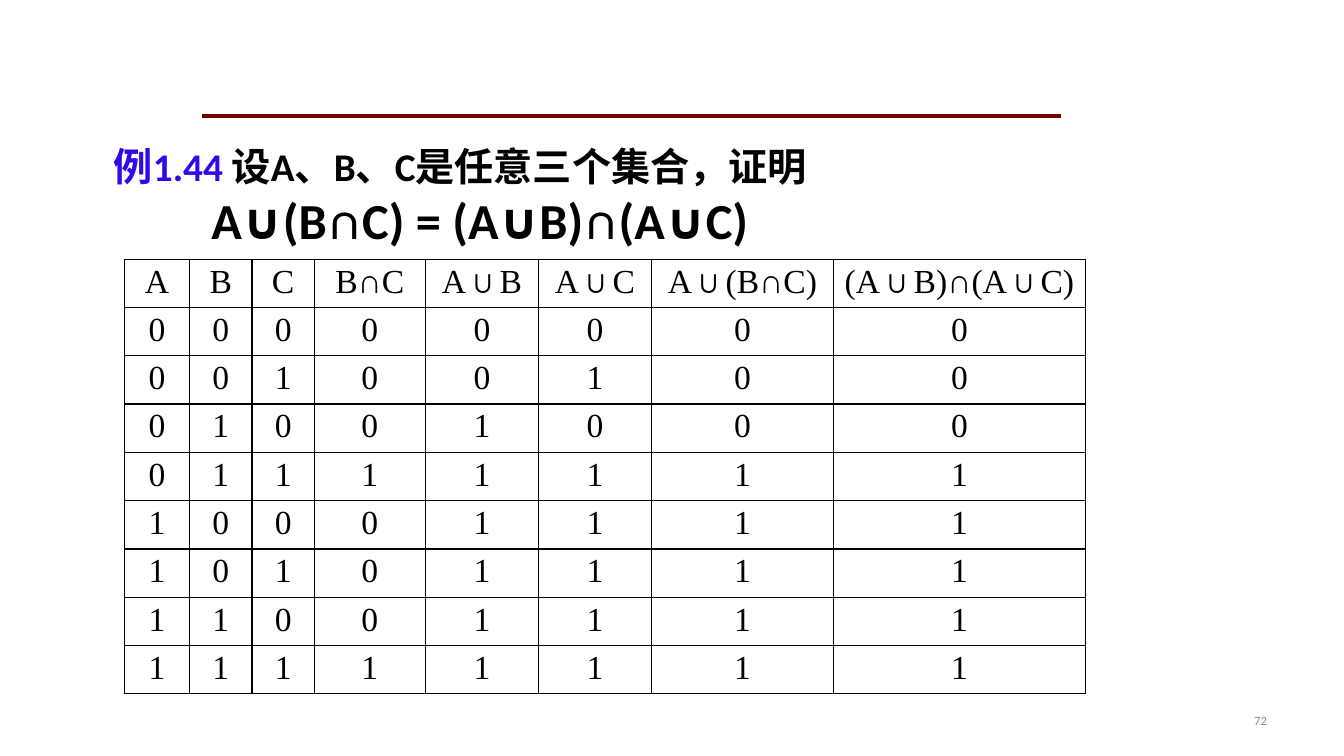
from dataclasses import dataclass
from itertools import product

from lxml.etree import SubElement
from pptx import Presentation
from pptx.dml.color import RGBColor as Rgb
from pptx.enum.shapes import MSO_CONNECTOR as Connector
from pptx.enum.text import MSO_ANCHOR as Anchor, PP_ALIGN as Align
from pptx.oxml.ns import qn
from pptx.util import Cm, Pt

EXAMPLE_LABEL = "例1.44 "
EXAMPLE_TEXT = "设A、B、C是任意三个集合，证明"
IDENTITY = "A∪(B∩C) = (A∪B)∩(A∪C)"
PAGE_NUMBER = "72"

# Column heading, width in cm, membership value for a, b, c
COLUMNS = [
    ("A", 1.65, lambda a, b, c: a),
    ("B", 1.57, lambda a, b, c: b),
    ("C", 1.57, lambda a, b, c: c),
    ("B∩C", 2.8, lambda a, b, c: b & c),
    ("A∪B", 2.85, lambda a, b, c: a | b),
    ("A∪C", 2.85, lambda a, b, c: a | c),
    ("A∪(B∩C)", 4.58, lambda a, b, c: a | (b & c)),
    ("(A∪B)∩(A∪C)", 6.36, lambda a, b, c: (a | b) & (a | c)),
]
ROW_HEIGHT = 1.19


@dataclass(frozen=True)
class Theme:
    ink: Rgb = Rgb(0, 0, 0)
    label: Rgb = Rgb(0x33, 0x08, 0xE8)
    rule: Rgb = Rgb(0x74, 0, 0)
    muted: Rgb = Rgb(0x8C, 0x8C, 0x8C)
    body_font: str = "Calibri"
    table_font: str = "Times New Roman"
    statement_size: int = 28
    identity_size: int = 36
    table_size: int = 24
    page_size: int = 9
    rule_width: float = 2.5
    border_width: float = 1


THEME = Theme()


def style(font, name, size, color, bold=False):
    font.name, font.size, font.bold = name, Pt(size), bold
    font.color.rgb = color


def add_rule(slide):
    rule = slide.shapes.add_connector(
        Connector.STRAIGHT, Cm(5.08), Cm(2.92), Cm(26.75), Cm(2.92))
    rule.line.color.rgb = THEME.rule
    rule.line.width = Pt(THEME.rule_width)
    SubElement(rule._element.spPr, qn("a:effectLst"))


def add_page_number(slide):
    frame = slide.shapes.add_textbox(Cm(24.28), Cm(17.65), Cm(7.9), Cm(1.02)).text_frame
    frame.word_wrap = True
    frame.vertical_anchor = Anchor.MIDDLE
    frame.text = PAGE_NUMBER
    number = frame.paragraphs[0]
    number.alignment = Align.RIGHT
    style(number.runs[0].font, THEME.body_font, THEME.page_size, THEME.muted)


def add_statement(slide):
    frame = slide.shapes.add_textbox(Cm(2.74), Cm(3.12), Cm(23.19), Cm(3.18)).text_frame
    frame.word_wrap = True
    frame.vertical_anchor = Anchor.BOTTOM
    frame.margin_left = frame.margin_right = Cm(0.13)
    frame.margin_top = frame.margin_bottom = 0
    frame.text = EXAMPLE_LABEL
    statement = frame.paragraphs[0]
    statement.add_run().text = EXAMPLE_TEXT
    for run, color in zip(statement.runs, (THEME.label, THEME.ink)):
        style(run.font, THEME.body_font, THEME.statement_size, color, bold=True)
    identity = frame.add_paragraph()
    identity.text = IDENTITY
    identity._p.get_or_add_pPr().set("marL", str(Cm(2.46)))
    style(identity.runs[0].font, THEME.body_font, THEME.identity_size, THEME.ink, bold=True)


def add_borders(cell):
    properties = cell._tc.get_or_add_tcPr()
    for position, side in enumerate(("a:lnL", "a:lnR", "a:lnT", "a:lnB")):
        border = SubElement(properties, qn(side), w=str(Pt(THEME.border_width)))
        fill = SubElement(border, qn("a:solidFill"))
        SubElement(fill, qn("a:srgbClr"), val=str(THEME.ink))
        properties.insert(position, border)


def fill_cell(cell, text):
    cell.fill.background()
    add_borders(cell)
    cell.margin_left = cell.margin_right = Cm(0.2)
    cell.margin_top = cell.margin_bottom = Cm(0.1)
    cell.text = text
    entry = cell.text_frame.paragraphs[0]
    entry.alignment = Align.CENTER
    style(entry.runs[0].font, THEME.table_font, THEME.table_size, THEME.ink)


def add_membership_table(slide):
    headings, widths, rules = zip(*COLUMNS)
    rows = [headings] + [
        [str(rule(*members)) for rule in rules]
        for members in product((0, 1), repeat=3)]
    table = slide.shapes.add_table(
        len(rows), len(COLUMNS), Cm(3.13), Cm(6.53),
        Cm(sum(widths)), Cm(ROW_HEIGHT * len(rows))).table
    table.first_row = table.horz_banding = False
    for column, width in zip(table.columns, widths):
        column.width = Cm(width)
    for table_row, values in zip(table.rows, rows):
        table_row.height = Cm(ROW_HEIGHT)
        for cell, value in zip(table_row.cells, values):
            fill_cell(cell, value)


def main():
    deck = Presentation()
    deck.slide_width, deck.slide_height = Cm(33.87), Cm(19.05)
    slide = deck.slides.add_slide(deck.slide_layouts[6])
    add_rule(slide)
    add_page_number(slide)
    add_membership_table(slide)
    add_statement(slide)
    deck.save("out.pptx")


if __name__ == "__main__":
    main()
